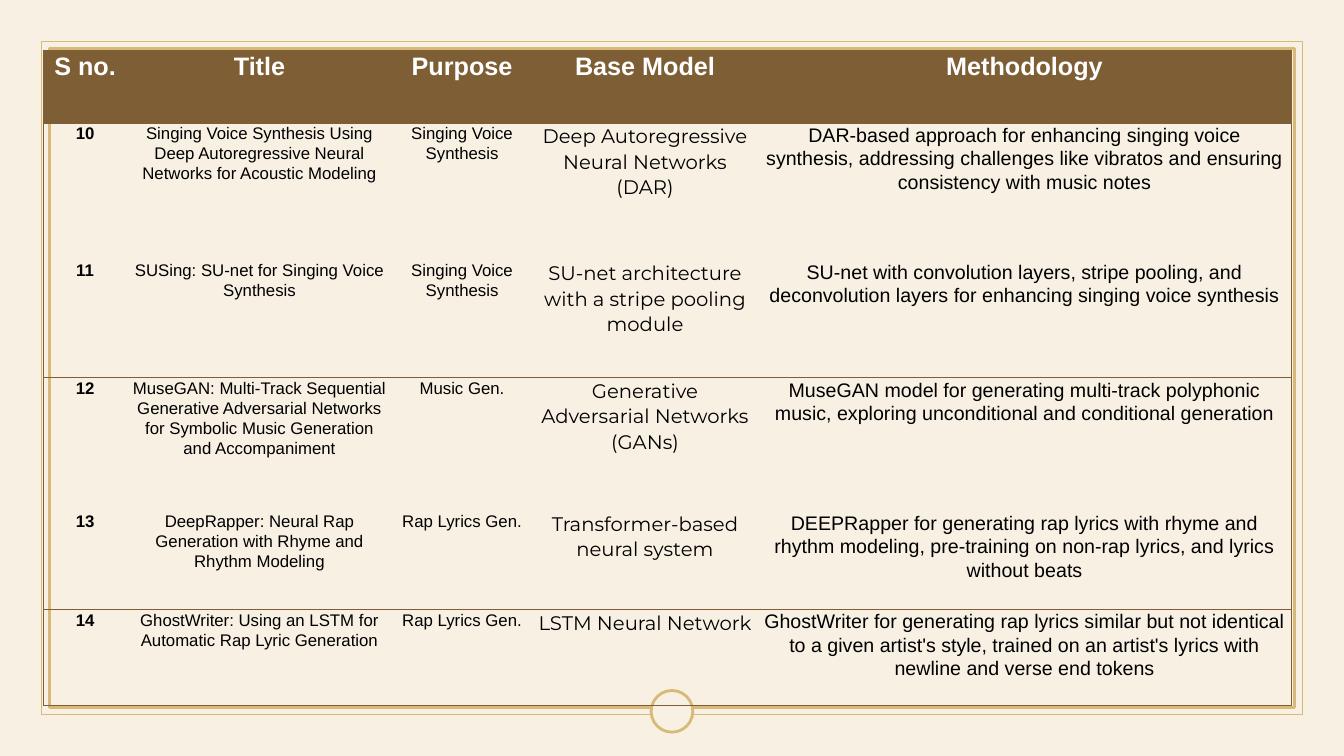
from dataclasses import dataclass

import pptx
import pptx.dml.color
import pptx.enum.shapes
import pptx.enum.text
import pptx.oxml
import pptx.oxml.ns
import pptx.slide
import pptx.table
import pptx.util
from lxml import etree

Cm = pptx.util.Cm
Pt = pptx.util.Pt
RGB = pptx.dml.color.RGBColor
Preset = pptx.enum.shapes.MSO_SHAPE


@dataclass(frozen=True)
class Theme:
    paper: str = "F7F0E3"
    gold: str = "D8B97A"
    brown: str = "7E5E34"
    white: str = "FFFFFF"
    black: str = "000000"
    sans: str = "Arial"
    display: str = "Montserrat"
    heading_size: float = 18
    label_size: float = 12
    detail_size: float = 14
    line_spacing: float = 1.07
    rule_width: float = 0.75


THEME = Theme()


@dataclass(frozen=True)
class Ornament:
    """Gold-lined decoration; measures in centimetres, line width in points."""
    preset: Preset
    left: float
    top: float
    width: float
    height: float
    line_width: float
    fill: str | None = None


@dataclass(frozen=True)
class Column:
    heading: str
    width: float
    size: float
    font: str = THEME.sans
    bold: bool = False


@dataclass(frozen=True)
class Paper:
    number: str
    title: str
    purpose: str
    base_model: str
    methodology: str
    height: float
    rule_above: bool

    def entries(self) -> tuple[str, ...]:
        return (self.number, self.title, self.purpose, self.base_model, self.methodology)


SLIDE_WIDTH, SLIDE_HEIGHT = 33.87, 19.05
TABLE_LEFT, TABLE_TOP, HEADER_HEIGHT = 1.09, 1.27, 1.83
CELL_INSET = 0.1


def frame(inset_x: float, inset_y: float, line_width: float) -> Ornament:
    return Ornament(Preset.RECTANGLE, inset_x, inset_y, SLIDE_WIDTH - 2 * inset_x,
                    SLIDE_HEIGHT - 2 * inset_y, line_width)


RING_SIZE = 1.05
ORNAMENTS = [
    frame(1.04, 1.04, 1),
    frame(1.24, 1.23, 2),
    Ornament(Preset.OVAL, (SLIDE_WIDTH - RING_SIZE) / 2, 17.4, RING_SIZE, RING_SIZE, 2, THEME.paper),
]

COLUMNS = [
    Column("S no.", 2.11, THEME.label_size, bold=True),
    Column("Title", 6.68, THEME.label_size),
    Column("Purpose", 3.53, THEME.label_size),
    Column("Base Model", 5.69, THEME.detail_size, THEME.display),
    Column("Methodology", 13.44, THEME.detail_size),
]

PAPERS = [
    Paper("10", "Singing Voice Synthesis Using Deep Autoregressive Neural Networks for Acoustic Modeling",
          "Singing Voice Synthesis", "Deep Autoregressive Neural Networks (DAR)",
          "DAR-based approach for enhancing singing voice synthesis, addressing challenges like "
          "vibratos and ensuring consistency with music notes", 3.45, True),
    Paper("11", "SUSing: SU-net for Singing Voice Synthesis",
          "Singing Voice Synthesis", "SU-net architecture with a stripe pooling module",
          "SU-net with convolution layers, stripe pooling, and deconvolution layers for enhancing "
          "singing voice synthesis", 2.97, False),
    Paper("12", "MuseGAN: Multi-Track Sequential Generative Adversarial Networks for Symbolic Music "
          "Generation and Accompaniment",
          "Music Gen.", "Generative Adversarial Networks (GANs)",
          "MuseGAN model for generating multi-track polyphonic music, exploring unconditional and "
          "conditional generation", 3.35, True),
    Paper("13", "DeepRapper: Neural Rap Generation with Rhyme and Rhythm Modeling",
          "Rap Lyrics Gen.", "Transformer-based neural system",
          "DEEPRapper for generating rap lyrics with rhyme and rhythm modeling, pre-training on "
          "non-rap lyrics, and lyrics without beats", 2.49, False),
    Paper("14", "GhostWriter: Using an LSTM for Automatic Rap Lyric Generation",
          "Rap Lyrics Gen.", "LSTM Neural Network",
          "GhostWriter for generating rap lyrics similar but not identical to a given artist's style, "
          "trained on an artist's lyrics with newline and verse end tokens", 2.41, True),
]


def add_ornament(slide: pptx.slide.Slide, ornament: Ornament) -> None:
    shape = slide.shapes.add_shape(ornament.preset, Cm(ornament.left), Cm(ornament.top),
                                   Cm(ornament.width), Cm(ornament.height))
    shape.shadow.inherit = False
    shape.line.color.rgb = RGB.from_string(THEME.gold)
    shape.line.width = Pt(ornament.line_width)
    if ornament.fill:
        shape.fill.solid()
        shape.fill.fore_color.rgb = RGB.from_string(ornament.fill)
    else:
        shape.fill.background()


def write_text(cell: pptx.table._Cell, text: str, *, size: float, font: str = THEME.sans,
               color: str = THEME.black, bold: bool = False) -> None:
    cell.margin_left = cell.margin_right = Cm(CELL_INSET)
    cell.margin_top = cell.margin_bottom = 0
    paragraph = cell.text_frame.paragraphs[0]
    paragraph.alignment = pptx.enum.text.PP_ALIGN.CENTER
    paragraph.line_spacing = THEME.line_spacing
    run = paragraph.add_run()
    run.text = text
    run.font.name = font
    run.font.size = Pt(size)
    run.font.bold = bold
    run.font.color.rgb = RGB.from_string(color)


def set_borders(cell: pptx.table._Cell, ruled: dict[str, bool]) -> None:
    """Rule or clear each side; call before filling, as the schema puts borders first."""
    qn = pptx.oxml.ns.qn
    properties = cell._tc.get_or_add_tcPr()
    for side in "LRTB":
        border = etree.SubElement(properties, qn(f"a:ln{side}"), w=str(Pt(THEME.rule_width)))
        if ruled[side]:
            solid = etree.SubElement(border, qn("a:solidFill"))
            etree.SubElement(solid, qn("a:srgbClr"), val=THEME.brown)
        else:
            etree.SubElement(border, qn("a:noFill"))


def add_paper_table(slide: pptx.slide.Slide) -> None:
    heights = [HEADER_HEIGHT] + [paper.height for paper in PAPERS]
    rules = [True] + [paper.rule_above for paper in PAPERS] + [True]
    table = slide.shapes.add_table(
        len(heights), len(COLUMNS), Cm(TABLE_LEFT), Cm(TABLE_TOP),
        Cm(sum(column.width for column in COLUMNS)), Cm(sum(heights))).table
    table.first_row = table.horz_banding = False
    for row, height in zip(table.rows, heights):
        row.height = Cm(height)

    for col, column in enumerate(COLUMNS):
        table.columns[col].width = Cm(column.width)
        for row in range(len(heights)):
            cell = table.cell(row, col)
            set_borders(cell, {"L": col == 0, "R": col == len(COLUMNS) - 1,
                               "T": rules[row], "B": rules[row + 1]})
            if row == 0:
                cell.fill.solid()
                cell.fill.fore_color.rgb = RGB.from_string(THEME.brown)
                write_text(cell, column.heading, size=THEME.heading_size, color=THEME.white, bold=True)
            else:
                cell.fill.background()
                write_text(cell, PAPERS[row - 1].entries()[col], size=column.size,
                           font=column.font, bold=column.bold)


def main() -> None:
    deck = pptx.Presentation()
    deck.slide_width, deck.slide_height = Cm(SLIDE_WIDTH), Cm(SLIDE_HEIGHT)
    slide = deck.slides.add_slide(deck.slide_layouts[6])
    slide.background.fill.solid()
    slide.background.fill.fore_color.rgb = RGB.from_string(THEME.paper)
    for ornament in ORNAMENTS:
        add_ornament(slide, ornament)
    add_paper_table(slide)
    deck.save("out.pptx")


if __name__ == "__main__":
    main()
